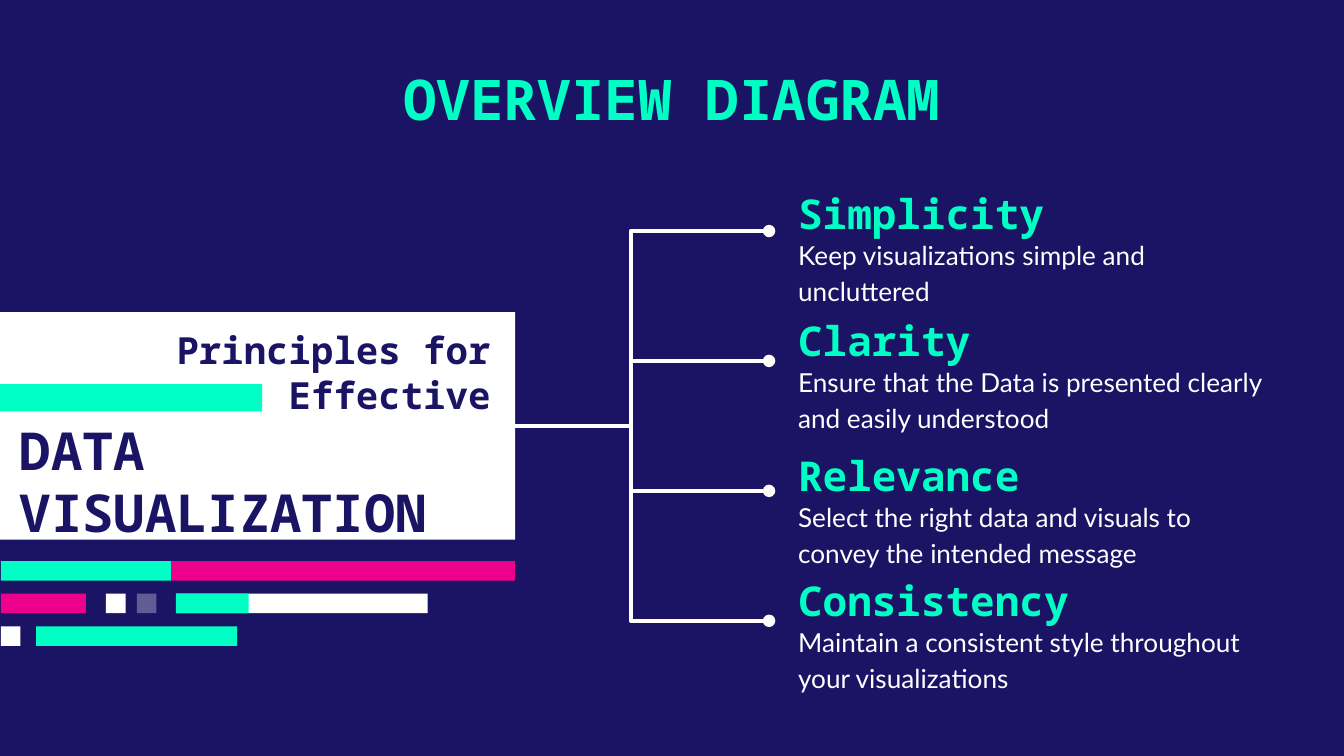
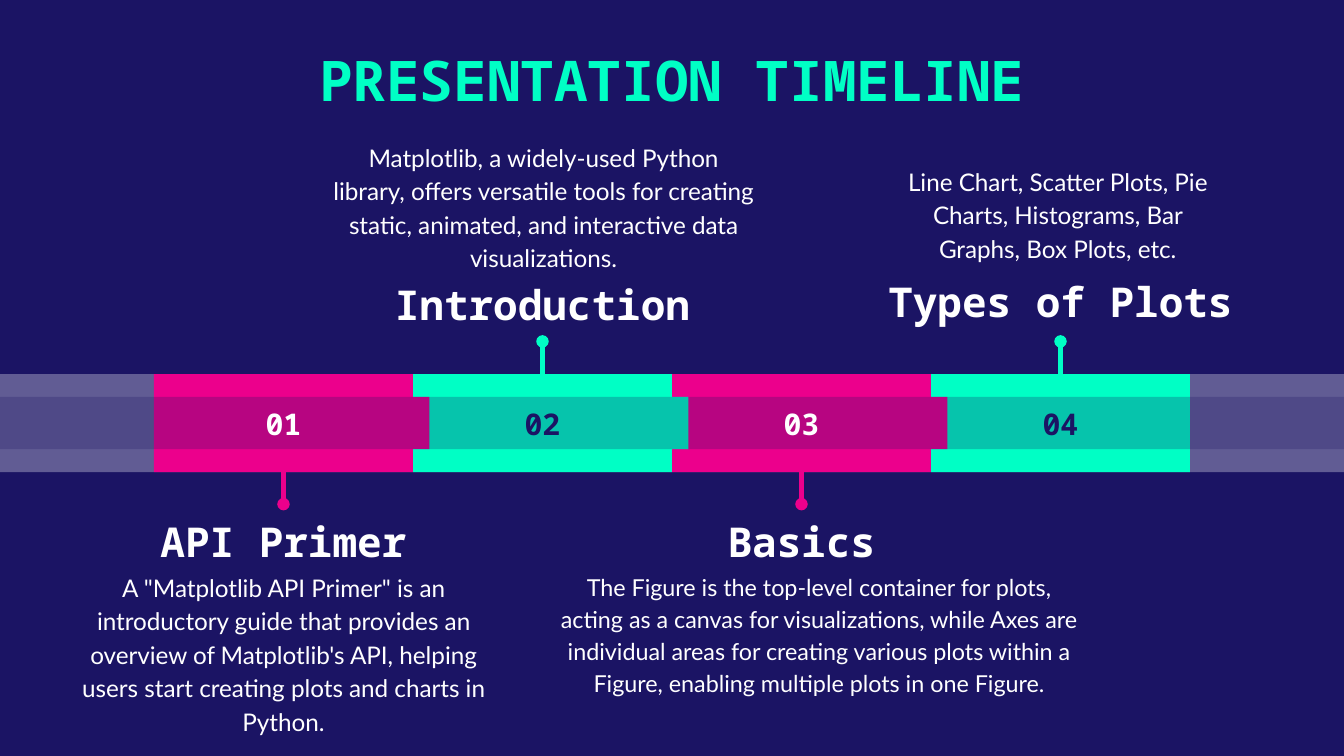
import lxml.etree
import pptx
import pptx.dml.color
import pptx.enum.shapes
import pptx.enum.text
import pptx.oxml.ns
import pptx.util

Pt = pptx.util.Pt
qn = pptx.oxml.ns.qn
RGBColor = pptx.dml.color.RGBColor
ALIGN = pptx.enum.text.PP_ALIGN
ANCHOR = pptx.enum.text.MSO_ANCHOR
SHAPE = pptx.enum.shapes.MSO_SHAPE
CONNECTOR = pptx.enum.shapes.MSO_CONNECTOR

# Shared colours and text formats
NAVY = RGBColor(0x1B, 0x14, 0x64)
MINT = RGBColor(0x00, 0xFF, 0xC5)
PINK = RGBColor(0xEC, 0x00, 0x8C)
WHITE = RGBColor(0xFF, 0xFF, 0xFF)

SLIDE_W, SLIDE_H = 720, 405
MONO = {"name": "Noto Sans Mono", "bold": True}
TITLE = {**MONO, "size": Pt(30)}
HEADING = {**MONO, "size": Pt(22)}
NUMBER = {**MONO, "size": Pt(16)}
BODY = {"name": "Lato", "size": Pt(14)}
BODY_SPACING = 1.15


def add_text(slide, box, text, font, color, align=ALIGN.LEFT,
             anchor=ANCHOR.TOP, pad=0, spacing=None):
    tf = slide.shapes.add_textbox(*map(Pt, box)).text_frame
    frame = {"word_wrap": True, "vertical_anchor": anchor,
             "margin_left": Pt(7.2), "margin_right": Pt(7.2),
             "margin_top": Pt(pad), "margin_bottom": Pt(pad)}
    for key, value in frame.items():
        setattr(tf, key, value)
    p = tf.paragraphs[0]
    p.alignment = align
    if spacing:
        p.line_spacing = spacing
    r = p.add_run()
    r.text = text
    for key, value in font.items():
        setattr(r.font, key, value)
    r.font.color.rgb = color


def paint(sp, color, alpha=None):
    sp.shadow.inherit = False
    sp.fill.solid()
    sp.fill.fore_color.rgb = color
    sp.line.fill.background()
    if alpha:
        clr = sp.fill._xPr.find(".//" + qn("a:srgbClr"))
        lxml.etree.SubElement(clr, qn("a:alpha"), val=str(alpha * 1000))
    return sp


def add_rect(slide, box, color, alpha=None):
    sp = slide.shapes.add_shape(SHAPE.RECTANGLE, *map(Pt, box))
    return paint(sp, color, alpha)


def add_dotted_line(slide, kind, start, end, color, dot_end):
    """Draw a connector with a round dot at its head or tail."""
    line = slide.shapes.add_connector(kind, *map(Pt, (*start, *end)))
    line.line.color.rgb = color
    line.line.width = Pt(2.25)
    ln = line.line._get_or_add_ln()
    lxml.etree.SubElement(ln, qn("a:" + dot_end), type="oval")
    lxml.etree.SubElement(line._element.spPr, qn("a:effectLst"))
    return line


def new_slide(prs, title, title_y):
    slide = prs.slides.add_slide(prs.slide_layouts[6])
    slide.background.fill.solid()
    slide.background.fill.fore_color.rgb = NAVY
    add_text(slide, (100.8, title_y, 518.4, 52.6), title, TITLE, MINT,
             ALIGN.CENTER, pad=7.2)
    return slide


# Topic card with rows of coloured bars below it
BAR_H, BAR_PITCH = 10.5, 17.5
BAR_ROWS = [  # left, width, colour, opacity
    [(91.6, 184.3, PINK, None), (0.5, 91.1, MINT, None)],
    [(94.3, 134.8, WHITE, None), (94.3, 39, MINT, None), (0.5, 45.5, PINK, None),
     (73.4, BAR_H, WHITE, 31), (56.8, BAR_H, WHITE, None)],
    [(0.5, BAR_H, WHITE, None), (19.3, 107.8, MINT, None)],
]


def topic_card(slide, box):
    x, y, w, h = box
    add_rect(slide, box, WHITE)
    add_rect(slide, (x, y + 38.6, 140.4, 14.6), MINT)
    add_text(slide, (x + 78.5, y + 16.7, 191.5, 31), "Principles for Effective",
             {**MONO, "size": Pt(20)}, NAVY, ALIGN.RIGHT, ANCHOR.MIDDLE)
    add_text(slide, (x + 3.6, y + 74.8, 267.1, 31), "DATA VISUALIZATION",
             {**MONO, "size": Pt(28)}, NAVY, anchor=ANCHOR.MIDDLE)
    for row, bars in enumerate(BAR_ROWS):
        bar_y = y + h + 11.4 + row * BAR_PITCH
        for left, width, color, alpha in bars:
            add_rect(slide, (x + left, bar_y, width, BAR_H), color, alpha)


# Heading offset in the list, heading, description
PRINCIPLES = [
    (0, "Simplicity", "Keep visualizations simple and uncluttered"),
    (67.9, "Clarity",
     "Ensure that the Data is presented clearly and easily understood"),
    (140.2, "Relevance",
     "Select the right data and visuals to convey the intended message"),
    (207.3, "Consistency",
     "Maintain a consistent style throughout your visualizations"),
]


def principle_list(slide, box):
    x, y, w, h = box
    for dy, heading, text in PRINCIPLES:
        add_text(slide, (x, y + dy, 212.4, 21.6), heading, HEADING, MINT,
                 anchor=ANCHOR.MIDDLE)
        add_text(slide, (x, y + dy + 22.4, w, 21.6), text, BODY, WHITE,
                 spacing=BODY_SPACING)


def branches(slide, box):
    x, y, w, h = box
    gap = h / (len(PRINCIPLES) - 1)
    for i in range(len(PRINCIPLES)):
        add_dotted_line(slide, CONNECTOR.ELBOW, (x, y + h / 2),
                        (x + w, y + i * gap), WHITE, "tailEnd")


def overview_slide(prs):
    slide = new_slide(prs, "OVERVIEW DIAGRAM", 27.4)
    topic_card(slide, (0, 167.2, 276, 122))
    principle_list(slide, (420.5, 103.6, 269.3, 251.3))
    branches(slide, (264, 123.8, 148, 208.8))


# Heading, heading top, text, text size, text top, text width, text shift
STEPS = [
    ("API Primer", 276.5,
     "A \"Matplotlib API Primer\" is an introductory guide that provides an "
     "overview of Matplotlib's API, helping users start creating plots and "
     "charts in Python.", 13, 304.6, 251.3, 0),
    ("Introduction", 149.8,
     "Matplotlib, a widely-used Python library, offers versatile tools for "
     "creating static, animated, and interactive data visualizations.",
     13, 105.8, 241.2, 0.5),
    ("Basics", 276.5,
     "The Figure is the top-level container for plots, acting as a canvas for "
     "visualizations, while Axes are individual areas for creating various "
     "plots within a Figure, enabling multiple plots in one Figure.",
     12.5, 304.6, 298.1, 9.4),
    ("Types of Plots", 148.3,
     "Line Chart, Scatter Plots, Pie Charts, Histograms, Bar Graphs, "
     "Box Plots, etc.", 13, 100.8, 187.2, -1.5),
]
STEP_X, STEP_W, TAB_W = 82.5, 138.75, 8.75
STRIPE_DY, STRIPE_H = 12.2, 28.1


def add_segment(slide, box, color):
    """Draw a timeline segment whose right side carries a tab."""
    x, y, w, h = box
    right, tab = x + w, x + w + TAB_W
    top, bottom = y + STRIPE_DY, y + STRIPE_DY + STRIPE_H
    points = [(x, y + h), (right, y + h), (right, bottom), (tab, bottom),
              (tab, top), (right, top), (right, y)]
    fb = slide.shapes.build_freeform(Pt(x), Pt(y))
    fb.add_line_segments([(Pt(px), Pt(py)) for px, py in points], close=True)
    return paint(fb.convert_to_shape(), color)


def timeline_band(slide, box):
    x, y, w, h = box
    add_rect(slide, box, WHITE, 31)
    last = len(STEPS) - 1
    for i in range(last, -1, -1):
        seg_box = (x + STEP_X + i * STEP_W, y, STEP_W, h)
        color = MINT if i % 2 else PINK
        if i == last:
            last_segment = add_rect(slide, seg_box, color)
        else:
            add_segment(slide, seg_box, color)
    add_rect(slide, (x, y + STRIPE_DY, w, STRIPE_H), NAVY, 25)

    # Step numbers and pins
    for i in range(len(STEPS)):
        center = x + STEP_X + (i + 0.5) * STEP_W
        above = i % 2
        add_text(slide, (center - 61.5, y + 9.8, 123, 28.1), f"{i + 1:02}",
                 NUMBER, NAVY if above else WHITE, ALIGN.CENTER, pad=7.2)
        start, end = (y - 17.5, y) if above else (y + h + 17.1, y + h)
        pin = add_dotted_line(slide, CONNECTOR.STRAIGHT, (center, start),
                              (center, end), MINT if above else PINK, "headEnd")
        if i == last:
            pin.end_connect(last_segment, 0)


def step_texts(slide, box):
    x, y, w, h = box
    for i, (heading, head_y, text, size, text_y, text_w, dx) in enumerate(STEPS):
        center = x + (i + 0.5) * w / len(STEPS)
        add_text(slide, (center - 104.4, y + head_y, 208.8, 28.1), heading,
                 HEADING, WHITE, ALIGN.CENTER)
        add_text(slide, (center + dx - text_w / 2, y + text_y, text_w, 40.3),
                 text, {**BODY, "size": Pt(size)}, WHITE, ALIGN.CENTER,
                 ANCHOR.BOTTOM if i % 2 else ANCHOR.TOP, spacing=BODY_SPACING)


def timeline_slide(prs):
    slide = new_slide(prs, "PRESENTATION TIMELINE", 17.3)
    timeline_band(slide, (0, 200.4, SLIDE_W, 52.6))
    step_texts(slide, (STEP_X, 0, STEP_W * len(STEPS), SLIDE_H))


def main():
    prs = pptx.Presentation()
    prs.slide_width, prs.slide_height = Pt(SLIDE_W), Pt(SLIDE_H)
    overview_slide(prs)
    timeline_slide(prs)
    prs.save("out.pptx")


if __name__ == "__main__":
    main()
